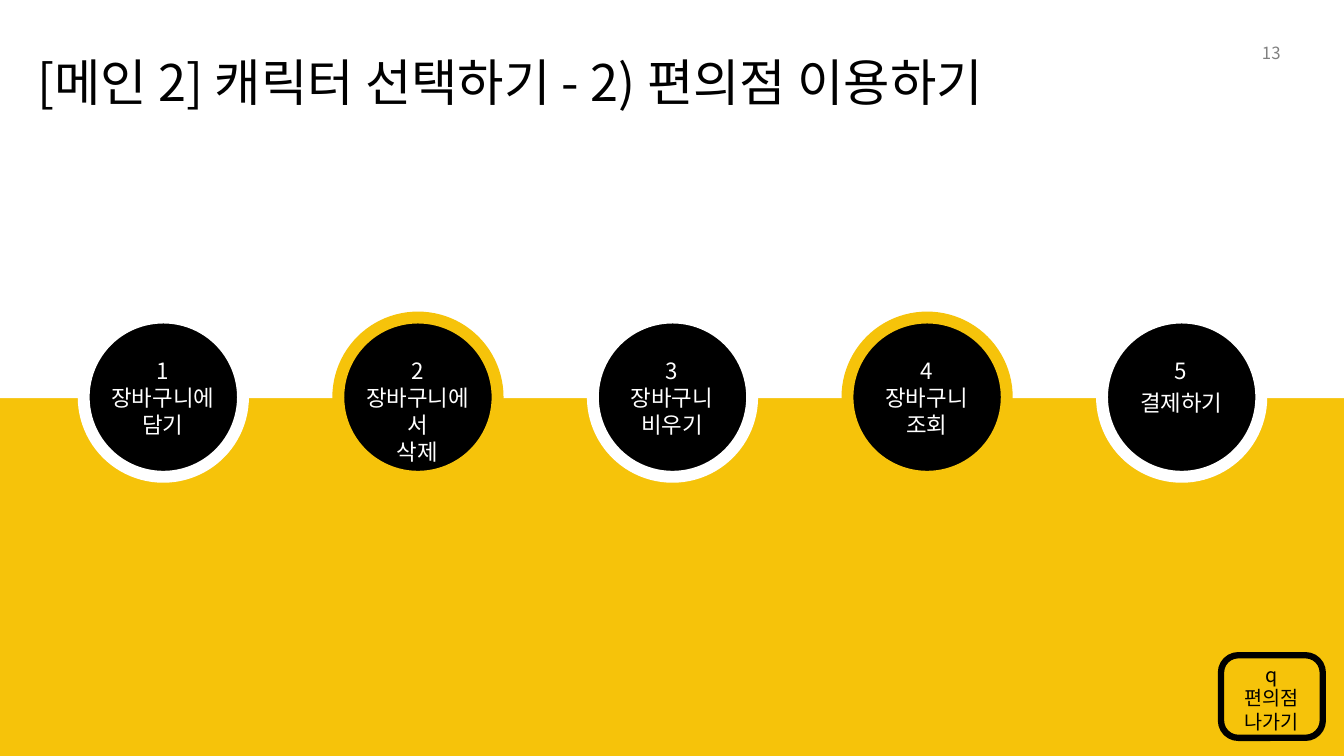
"""Build the convenience store menu slide with five numbered steps."""
from dataclasses import dataclass

from lxml.etree import SubElement
from pptx import Presentation
from pptx.dml.color import RGBColor
from pptx.enum.shapes import MSO_SHAPE
from pptx.enum.text import MSO_ANCHOR, MSO_AUTO_SIZE, PP_ALIGN
from pptx.oxml.ns import qn
from pptx.util import Inches, Pt


@dataclass(frozen=True)
class Theme:
    font: str = "Noto Sans CJK KR"
    yellow: str = "F6C30A"
    white: str = "FFFFFF"
    black: str = "000000"
    gray: str = "808080"
    title: float = 36
    step: float = 16
    button: float = 14
    number: float = 12


THEME = Theme()
STEPS = [
    ["1", "장바구니에 담기"],
    ["2", "장바구니에서", "삭제"],
    ["3", "장바구니", "비우기"],
    ["4", "장바구니", "조회"],
    ["5", "결제하기"],
]


def write(box, lines, size, color, leading, align=PP_ALIGN.CENTER, wrap=True, gap=0):
    frame = box.text_frame
    frame.word_wrap = wrap
    frame.vertical_anchor = MSO_ANCHOR.TOP
    frame.auto_size = MSO_AUTO_SIZE.SHAPE_TO_FIT_TEXT
    for index, line in enumerate(lines):
        para = frame.add_paragraph() if index else frame.paragraphs[0]
        para.alignment = align
        para.line_spacing = Pt(leading)
        para.space_before = Pt(gap if index else 0)
        span = para.add_run()
        span.text = line
        span.font.name = THEME.font
        span.font.size = Pt(size)
        span.font.color.rgb = RGBColor.from_string(color)
    for properties in box.element.iter(qn("a:rPr")):
        SubElement(properties, qn("a:ea"), typeface=THEME.font)


class SlideBuilder:
    def __init__(self, page, theme):
        self.page = page
        self.theme = theme

    def shape(self, kind, left, top, width, height, fill, line=None, weight=0):
        shape = self.page.shapes.add_shape(
            kind, Inches(left), Inches(top), Inches(width), Inches(height))
        shape.shadow.inherit = False
        shape.fill.solid()
        shape.fill.fore_color.rgb = RGBColor.from_string(fill)
        if line:
            shape.line.color.rgb = RGBColor.from_string(line)
            shape.line.width = Pt(weight)
        else:
            shape.line.fill.background()
        return shape

    def text(self, left, top, width, height, lines, **style):
        box = self.page.shapes.add_textbox(
            Inches(left), Inches(top), Inches(width), Inches(height))
        write(box, lines, **style)

    def title(self, left, top, width, height, text):
        box = self.page.shapes.title
        box.left, box.top = Inches(left), Inches(top)
        box.width, box.height = Inches(width), Inches(height)
        write(box, [text], size=self.theme.title, color=self.theme.black,
              leading=47, align=PP_ALIGN.JUSTIFY)
        box.element.getparent().append(box.element)

    def step(self, left, ring, lines):
        self.shape(MSO_SHAPE.OVAL, left, 3.15, 1.58, 1.58,
                   self.theme.black, ring, 8.5)
        self.text(left + 0.08, 3.49, 1.41, 0.91, lines, size=self.theme.step,
                  color=self.theme.white, leading=19.3,
                  gap=3.5 if len(lines) == 2 and len(lines[1]) < 5 else 0)

    def button(self, left, top, width, height, lines):
        shape = self.shape(MSO_SHAPE.ROUNDED_RECTANGLE, left, top, width, height,
                           self.theme.yellow, self.theme.black, 4.5)
        shape.adjustments[0] = 0.21
        self.text(left, top + 0.02, width, height, lines, size=self.theme.button,
                  color=self.theme.black, leading=17)


def main():
    deck = Presentation()
    deck.slide_width, deck.slide_height = Inches(13.33), Inches(7.5)
    builder = SlideBuilder(deck.slides.add_slide(deck.slide_layouts[5]), THEME)

    builder.shape(MSO_SHAPE.RECTANGLE, 0, 0, 13.33, 7.5, THEME.yellow)
    builder.shape(MSO_SHAPE.RECTANGLE, 0, 0, 13.33, 3.95, THEME.white)
    builder.title(0.27, 0.4, 11.56, 0.71, "[메인 2] 캐릭터 선택하기 - 2) 편의점 이용하기")
    builder.text(12.41, 0.32, 0.39, 0.32, ["13"], size=THEME.number,
                 color=THEME.gray, leading=18, align=PP_ALIGN.RIGHT, wrap=False)

    first, last = 0.83, 10.93
    pitch = (last - first) / (len(STEPS) - 1)
    for index, lines in enumerate(STEPS):
        ring = THEME.yellow if index % 2 else THEME.white
        builder.step(first + index * pitch, ring, lines)

    builder.button(12.11, 6.5, 1.01, 0.82, ["q", "편의점", "나가기"])
    deck.save("out.pptx")


if __name__ == "__main__":
    main()
